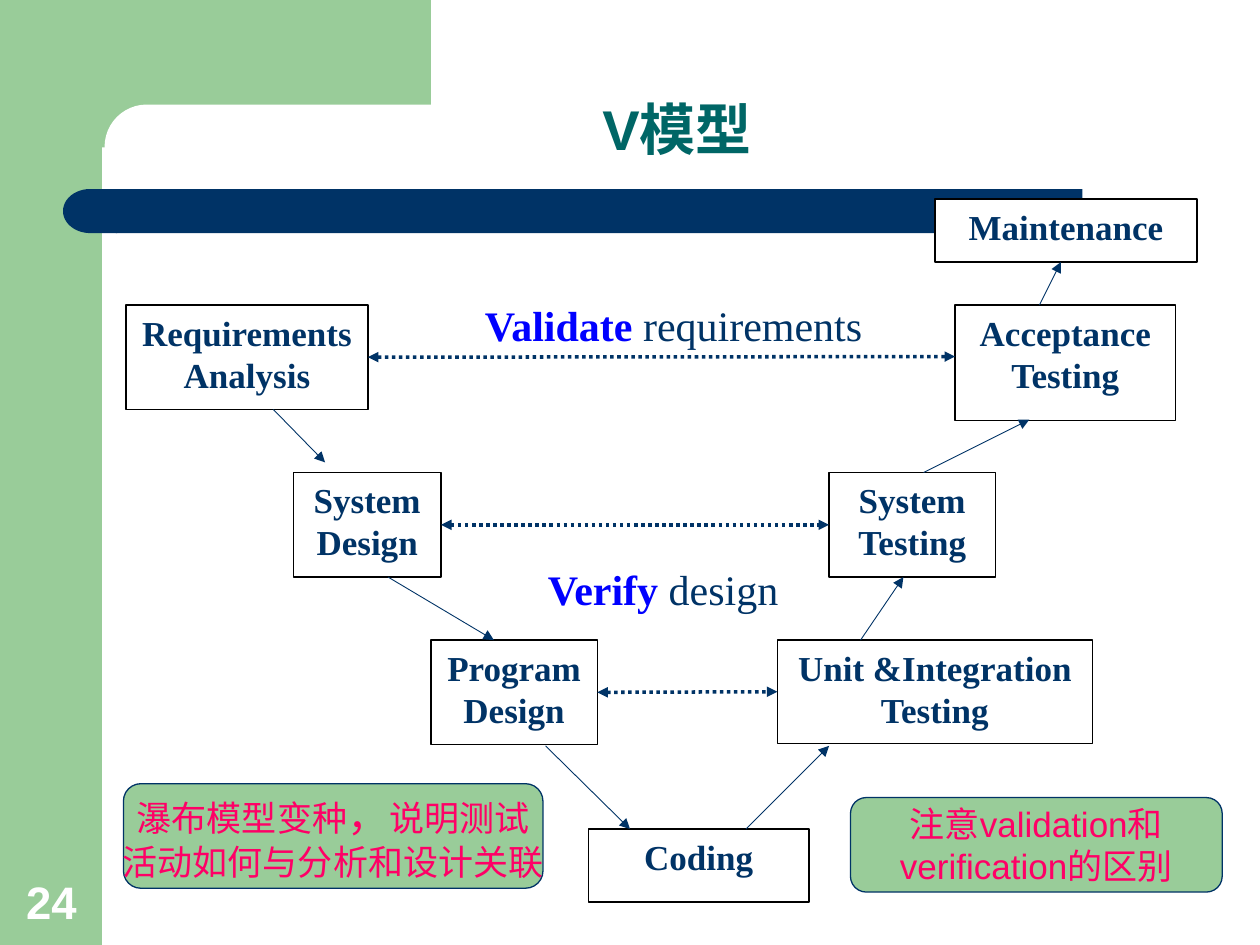
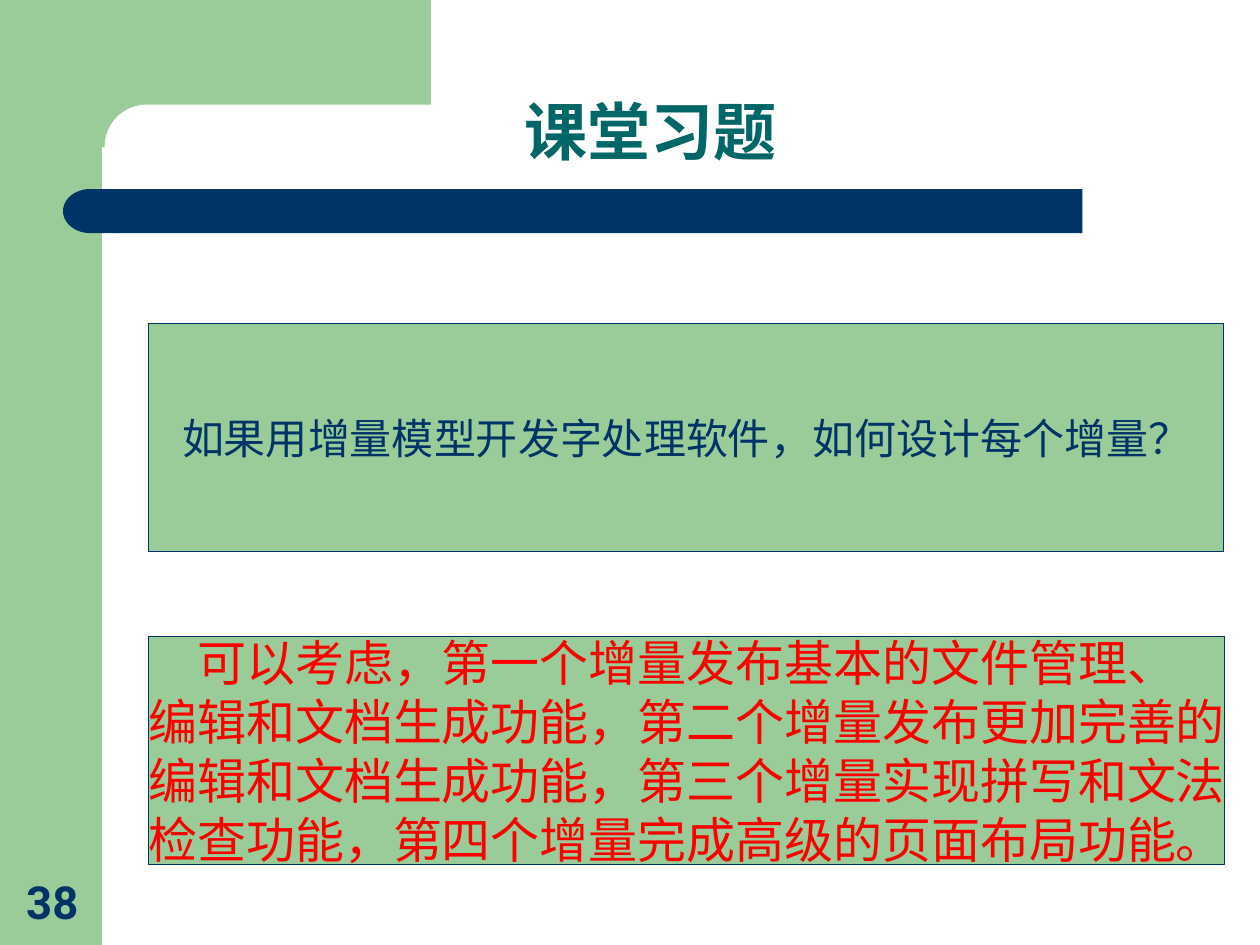
from typing import NamedTuple

from lxml import etree
from pptx import Presentation
from pptx.dml.color import RGBColor
from pptx.enum.dml import MSO_LINE
from pptx.enum.shapes import MSO_CONNECTOR, MSO_SHAPE
from pptx.enum.text import MSO_ANCHOR, MSO_AUTO_SIZE, PP_ALIGN
from pptx.oxml.ns import qn
from pptx.util import Inches, Pt

RECTANGLE = MSO_SHAPE.RECTANGLE
ROUNDED = MSO_SHAPE.ROUNDED_RECTANGLE
DELAY = MSO_SHAPE.FLOWCHART_DELAY
STRAIGHT = MSO_CONNECTOR.STRAIGHT
DOTTED = MSO_LINE.ROUND_DOT
LEFT, CENTER = PP_ALIGN.LEFT, PP_ALIGN.CENTER
TOP, MIDDLE, BOTTOM = MSO_ANCHOR.TOP, MSO_ANCHOR.MIDDLE, MSO_ANCHOR.BOTTOM
LEFT_SIDE, RIGHT_SIDE = 1, 3
TITLE_ONLY = 5

COLORS = {
    "green": "99CC99",
    "navy": "003366",
    "teal": "006666",
    "white": "FFFFFF",
    "black": "000000",
    "blue": "0000FF",
    "pink": "FF0066",
    "red": "FF0000",
}
SANS, SERIF, NUMBER_SANS = "Arial", "Times New Roman", "Roboto"


class Box(NamedTuple):
    left: float
    top: float
    width: float
    height: float

    def lengths(self):
        return [Inches(value) for value in self]


class Run(NamedTuple):
    text: str
    size: float
    color: str
    font: str = SANS
    bold: bool = False


class Band(NamedTuple):
    box: Box
    color: str
    kind: int = RECTANGLE
    rounding: float | None = None
    rotation: float = 0


class Stage(NamedTuple):
    name: str
    box: Box


class Arrow(NamedTuple):
    start: tuple[float, float]
    end: tuple[float, float]


class Link(NamedTuple):
    first: str
    second: str
    end: tuple[float, float] | None = None


class Note(NamedTuple):
    box: Box
    lines: list[list[Run]]
    kind: int = RECTANGLE


BANDS = [
    Band(Box(0, 0, 0.81, 7.5), "green"),
    Band(Box(0.73, 0, 2.69, 1.17), "green"),
    Band(Box(0.83, 0.83, 5.58, 0.67), "white", ROUNDED, rounding=0.5),
    Band(Box(0.92, 1.5, 7.67, 0.35), "navy"),
    Band(Box(0.5, 1.5, 0.43, 0.35), "navy", DELAY, rotation=180),
]

STAGES = [
    Stage("Requirements Analysis", Box(1, 2.42, 1.92, 0.83)),
    Stage("System Design", Box(2.33, 3.75, 1.17, 0.83)),
    Stage("Program Design", Box(3.42, 5.08, 1.32, 0.83)),
    Stage("Acceptance Testing", Box(7.58, 2.42, 1.75, 0.92)),
    Stage("Unit &Integration Testing", Box(6.17, 5.08, 2.5, 0.82)),
    Stage("Coding", Box(4.67, 6.58, 1.75, 0.58)),
    Stage("System Testing", Box(6.58, 3.75, 1.32, 0.83)),
    Stage("Maintenance", Box(7.42, 1.58, 2.08, 0.5)),
]

ARROWS = [
    Arrow((2.17, 3.25), (2.58, 3.67)),
    Arrow((3.08, 4.58), (3.92, 5.08)),
    Arrow((4.33, 5.92), (5, 6.58)),
    Arrow((5.92, 6.58), (6.58, 5.92)),
    Arrow((6.83, 5.08), (7.17, 4.58)),
    Arrow((7.33, 3.75), (8.17, 3.33)),
    Arrow((8.25, 2.42), (8.42, 2.08)),
]

LINKS = [
    Link("Program Design", "Unit &Integration Testing"),
    Link("System Design", "System Testing"),
    Link("Requirements Analysis", "Acceptance Testing", end=(7.58, 2.83)),
]

CAPTIONS = [
    (Box(3.75, 2.33, 3.33, 0.5), "Validate ", "requirements"),
    (Box(4.25, 4.42, 2.17, 0.5), "Verify", " design"),
]

V_MODEL_NOTES = [
    Note(
        Box(0.98, 6.22, 3.33, 0.83),
        [
            [Run("瀑布模型变种", 20, "pink"), Run("，", 24, "pink"), Run("说明测试", 20, "pink")],
            [Run("活动如何与分析和设计关联", 20, "pink")],
        ],
        ROUNDED,
    ),
    Note(
        Box(6.75, 6.33, 2.95, 0.75),
        [[Run("注意validation和", 20, "pink")], [Run("verification的区别", 20, "pink")]],
        ROUNDED,
    ),
]

ANSWER_LINES = [
    "可以考虑，第一个增量发布基本的文件管理、",
    "编辑和文档生成功能，第二个增量发布更加完善的",
    "编辑和文档生成功能，第三个增量实现拼写和文法",
    "检查功能，第四个增量完成高级的页面布局功能。",
]
EXERCISE_NOTES = [
    Note(
        Box(1.18, 2.57, 8.53, 1.81),
        [[Run("如果用增量模型开发字处理软件，如何设计每个增量？", 24, "navy")]],
    ),
    Note(Box(1.18, 5.05, 8.54, 1.81), [[Run(line, 28, "red")] for line in ANSWER_LINES]),
]


def rgb(name: str) -> RGBColor:
    return RGBColor.from_string(COLORS[name])


def write(shape, lines: list[list[Run]], align=LEFT, anchor=TOP, wrap: bool = True) -> None:
    frame = shape.text_frame
    frame.word_wrap = wrap
    frame.vertical_anchor = anchor
    for index, runs in enumerate(lines):
        paragraph = frame.add_paragraph() if index else frame.paragraphs[0]
        paragraph.alignment = align
        for item in runs:
            run = paragraph.add_run()
            run.text = item.text
            run.font.size = Pt(item.size)
            run.font.name = item.font
            run.font.bold = item.bold
            run.font.color.rgb = rgb(item.color)


def add_filled(slide, box: Box, fill: str, line: str | None = None, kind=RECTANGLE):
    shape = slide.shapes.add_shape(kind, *box.lengths())
    shape.shadow.inherit = False
    shape.fill.solid()
    shape.fill.fore_color.rgb = rgb(fill)
    if line:
        shape.line.color.rgb = rgb(line)
        shape.line.width = Pt(0.75)
    else:
        shape.line.fill.background()
    return shape


def add_text(slide, box: Box, runs: list[Run], anchor=TOP) -> None:
    shape = slide.shapes.add_textbox(*box.lengths())
    write(shape, [runs], anchor=anchor)
    shape.text_frame.auto_size = MSO_AUTO_SIZE.SHAPE_TO_FIT_TEXT


def add_line(slide, start, end, width: float, both_ends: bool = False):
    points = [Inches(value) for value in (*start, *end)]
    connector = slide.shapes.add_connector(STRAIGHT, *points)
    connector.line.color.rgb = rgb("navy")
    connector.line.width = Pt(width)
    if both_ends:
        connector.line.dash_style = DOTTED
    properties = connector.element.spPr
    outline = properties.find(qn("a:ln"))
    for tag in ("a:headEnd", "a:tailEnd") if both_ends else ("a:tailEnd",):
        etree.SubElement(outline, qn(tag), type="triangle")
    etree.SubElement(properties, qn("a:effectLst"))
    return connector


def add_link(slide, link: Link, shapes: dict) -> None:
    connector = add_line(slide, (0, 0), link.end or (0, 0), 2, both_ends=True)
    connector.begin_connect(shapes[link.first], RIGHT_SIDE)
    if not link.end:
        connector.end_connect(shapes[link.second], LEFT_SIDE)


def add_note(slide, note: Note) -> None:
    shape = add_filled(slide, note.box, "green", "navy", note.kind)
    write(shape, note.lines, CENTER, MIDDLE, wrap=False)


def add_bands_to_layout(slide) -> None:
    tree = slide.slide_layout.shapes.element
    for index, band in enumerate(BANDS):
        shape = add_filled(slide, band.box, band.color, kind=band.kind)
        shape.rotation = band.rotation
        if band.rounding is not None:
            shape.adjustments[0] = band.rounding
        shape.element.nvSpPr.cNvPr.set("id", str(100 + index))
        tree.insert(2 + index, shape.element)


def add_title_slide(presentation, title: Run, title_box: Box, number: Run, number_box: Box):
    slide = presentation.slides.add_slide(presentation.slide_layouts[TITLE_ONLY])
    shape = slide.shapes.title
    shape.left, shape.top, shape.width, shape.height = title_box.lengths()
    write(shape, [[title]], CENTER, BOTTOM)
    shape.text_frame.paragraphs[0].line_spacing = 0.9
    add_text(slide, number_box, [number], BOTTOM)
    return slide


def build_v_model(presentation) -> None:
    slide = add_title_slide(
        presentation,
        Run("V模型", 32, "teal", bold=True), Box(1, 0.42, 8.75, 0.92),
        Run("24", 26, "white", bold=True), Box(0.11, 6.88, 0.64, 0.54),
    )
    add_bands_to_layout(slide)
    shapes = {}
    for stage in STAGES:
        shape = add_filled(slide, stage.box, "white", "black")
        write(shape, [[Run(stage.name, 20, "navy", SERIF, True)]], CENTER)
        shapes[stage.name] = shape
    for arrow in ARROWS:
        add_line(slide, arrow.start, arrow.end, 0.5)
    for link in LINKS:
        add_link(slide, link, shapes)
    for box, verb, subject in CAPTIONS:
        add_text(slide, box, [Run(verb, 24, "blue", SERIF, True), Run(subject, 24, "navy", SERIF)])
    for note in V_MODEL_NOTES:
        add_note(slide, note)


def build_exercise(presentation) -> None:
    slide = add_title_slide(
        presentation,
        Run("课堂习题", 36, "teal", bold=True), Box(0.79, 0.47, 8.75, 0.92),
        Run("38", 26, "navy", NUMBER_SANS, True), Box(0.11, 6.82, 0.64, 0.6),
    )
    for note in EXERCISE_NOTES:
        add_note(slide, note)


def main() -> None:
    presentation = Presentation()
    presentation.slide_width = Inches(10)
    presentation.slide_height = Inches(7.5)
    build_v_model(presentation)
    build_exercise(presentation)
    presentation.save("out.pptx")


if __name__ == "__main__":
    main()
